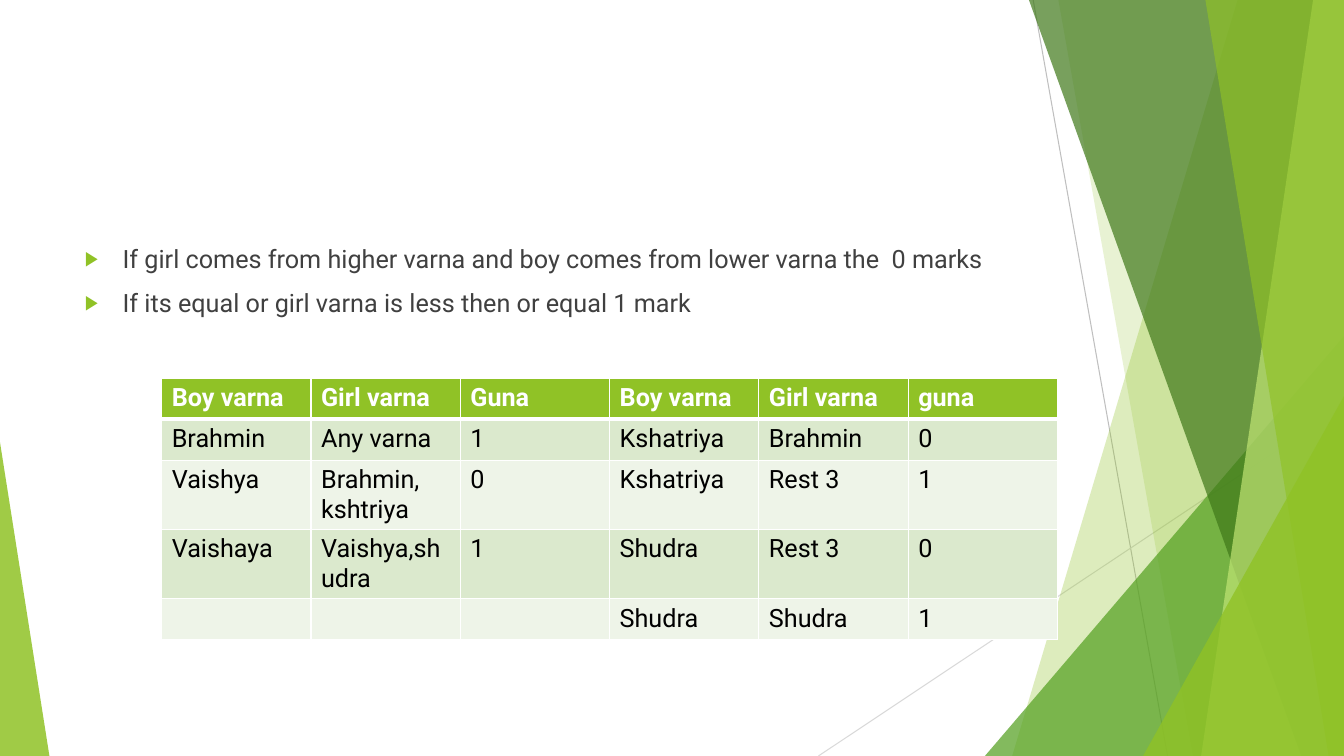
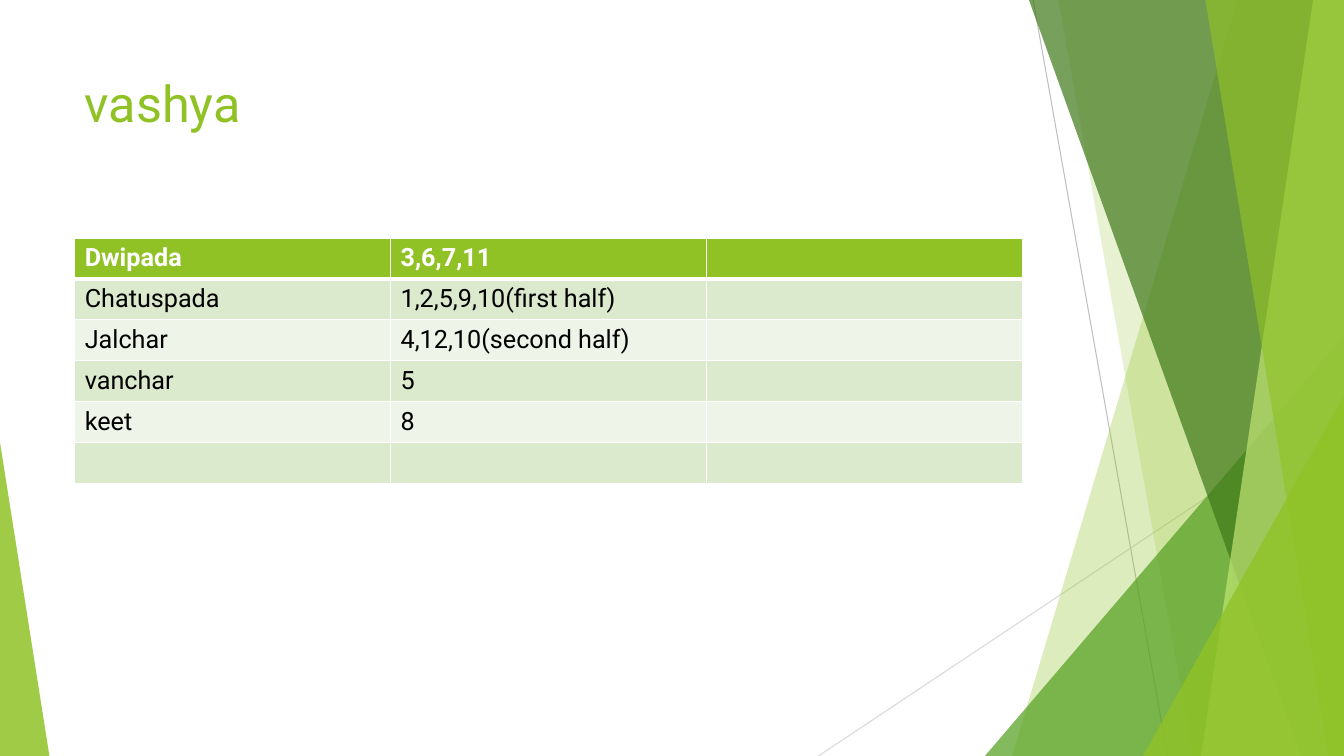
from lxml import etree
from pptx import Presentation
from pptx.dml.color import RGBColor
from pptx.enum.shapes import MSO_CONNECTOR, MSO_SHAPE
from pptx.enum.text import MSO_ANCHOR, PP_ALIGN
from pptx.oxml.ns import qn
from pptx.util import Pt

WIDTH, HEIGHT = 960, 540
MARGIN, CONTENT_WIDTH, CONTENT_TOP = 53.4, 676.8, 170.1
FONT = "Roboto"
BODY_SIZE, TITLE_SIZE = 18, 36

WHITE = RGBColor(0xFF, 0xFF, 0xFF)
BLACK = RGBColor(0x00, 0x00, 0x00)
BODY_GREY = RGBColor(0x40, 0x40, 0x40)
LINE_GREY = RGBColor(0xBF, 0xBF, 0xBF)
PALE_GREY = RGBColor(0xD9, 0xD9, 0xD9)
LIME = RGBColor(0x90, 0xC2, 0x26)
LIGHT_LIME = RGBColor(0xC0, 0xE4, 0x74)
GREEN = RGBColor(0x54, 0xA0, 0x21)
DARK_GREEN = RGBColor(0x3F, 0x78, 0x19)
BANDS = (RGBColor(0xEE, 0xF4, 0xE8), RGBColor(0xDB, 0xE9, 0xCD))

VARNA_RULES = [
    "If girl comes from higher varna and boy comes from lower varna the  0 marks",
    "If its equal or girl varna is less then or equal 1 mark",
]
VARNA_ROWS = [
    ("Boy varna", "Girl varna", "Guna", "Boy varna", "Girl varna", "guna"),
    ("Brahmin", "Any varna", "1", "Kshatriya", "Brahmin", "0"),
    ("Vaishya", "Brahmin, kshtriya", "0", "Kshatriya", "Rest 3", "1"),
    ("Vaishaya", "Vaishya,shudra", "1", "Shudra", "Rest 3", "0"),
    ("", "", "", "Shudra", "Shudra", "1"),
]
VASHYA_ROWS = [
    ("Dwipada", "3,6,7,11", ""),
    ("Chatuspada", "1,2,5,9,10(first half)", ""),
    ("Jalchar", "4,12,10(second half)", ""),
    ("vanchar", "5", ""),
    ("keet", "8", ""),
    ("", "", ""),
]


def add_child(parent, tag, **attributes):
    child = etree.SubElement(parent, qn(tag))
    for name, value in attributes.items():
        child.set(name, str(value))
    return child


def style_runs(paragraph, size, color, bold=False):
    for run in paragraph.runs:
        run.font.name = FONT
        run.font.size = Pt(size)
        run.font.bold = bold
        run.font.color.rgb = color


def place(shape, left, top, width, height):
    shape.left, shape.top = Pt(left), Pt(top)
    shape.width, shape.height = Pt(width), Pt(height)


def paint(facet, color, opacity):
    """Fill a facet with a see-through colour; opacity is in percent."""
    facet.shadow.inherit = False
    facet.line.fill.background()
    facet.fill.solid()
    facet.fill.fore_color.rgb = color
    srgb = facet.element.spPr.find(qn("a:solidFill")).find(qn("a:srgbClr"))
    add_child(srgb, "a:alpha", val=opacity * 1000)


def add_hairline(slide, start, end, color):
    ends = [Pt(length) for length in (*start, *end)]
    hairline = slide.shapes.add_connector(MSO_CONNECTOR.STRAIGHT, *ends)
    hairline.line.color.rgb = color
    hairline.line.width = Pt(0.75)
    add_child(hairline.element.spPr, "a:effectLst")


def add_panel(slide, top_x, bottom_x, color, opacity):
    """Full-height panel with a slanted left edge, ending at the slide's right."""
    builder = slide.shapes.build_freeform(Pt(top_x), 0)
    corners = [(WIDTH, 0), (WIDTH, HEIGHT), (bottom_x, HEIGHT)]
    builder.add_line_segments([(Pt(x), Pt(y)) for x, y in corners])
    paint(builder.convert_to_shape(), color, opacity)


def add_corner(slide, left, top, width, apex, color, opacity):
    """Triangle standing on the bottom edge; apex is 0 for left, 1 for right."""
    corner = slide.shapes.add_shape(MSO_SHAPE.ISOSCELES_TRIANGLE, Pt(left),
                                    Pt(top), Pt(width), Pt(HEIGHT - top))
    corner.adjustments[0] = apex
    paint(corner, color, opacity)


def add_facets(slide):
    add_hairline(slide, (738, 0), (834, HEIGHT), LINE_GREY)
    add_hairline(slide, (WIDTH, 290), (584.6, HEIGHT), PALE_GREY)
    add_panel(slide, 884, 723, LIME, 30)
    add_panel(slide, 756, 852, LIME, 20)
    add_corner(slide, 703.5, 240, 256.5, 1, GREEN, 72)
    add_panel(slide, 735, 929.5, DARK_GREEN, 70)
    add_panel(slide, 938, 858, LIGHT_LIME, 70)
    add_panel(slide, 861, 949, LIME, 65)
    add_corner(slide, 816.5, 283, 143.5, 1, LIME, 80)
    add_corner(slide, 0, 316, 35.3, 0, LIME, 85)


def set_title(slide, text):
    title = slide.shapes.title
    place(title, MARGIN, 48, CONTENT_WIDTH, 104)
    title.text_frame.text = text
    title.text_frame.vertical_anchor = MSO_ANCHOR.TOP
    heading = title.text_frame.paragraphs[0]
    heading.alignment = PP_ALIGN.LEFT
    style_runs(heading, TITLE_SIZE, LIME)


def set_bullets(body, lines):
    place(body, MARGIN, CONTENT_TOP, CONTENT_WIDTH, 305.6)
    body.text_frame.text = "\n".join(lines)
    for paragraph in body.text_frame.paragraphs:
        paragraph.space_before = Pt(10)
        style_runs(paragraph, BODY_SIZE, BODY_GREY)
        properties = paragraph._p.get_or_add_pPr()
        properties.set("marL", str(Pt(27)))
        properties.set("indent", str(-Pt(27)))
        bullet_color = add_child(properties, "a:buClr")
        add_child(bullet_color, "a:srgbClr", val=LIME)
        add_child(properties, "a:buSzPct", val=80000)
        add_child(properties, "a:buFont", typeface="Arial")
        add_child(properties, "a:buChar", char="▶")


def set_borders(cell, top, bottom):
    properties = cell._tc.get_or_add_tcPr()
    for side, width in (("L", 1), ("R", 1), ("T", top), ("B", bottom)):
        border = add_child(properties, f"a:ln{side}", w=Pt(width))
        fill = add_child(border, "a:solidFill")
        add_child(fill, "a:srgbClr", val=WHITE)


def add_grid(slide, rows, left, top, width, header_height=29.2):
    row_height = 29.2
    height = header_height + row_height * (len(rows) - 1)
    grid = slide.shapes.add_table(len(rows), len(rows[0]), Pt(left), Pt(top),
                                  Pt(width), Pt(height)).table
    for column in grid.columns:
        column.width = Pt(width / len(rows[0]))
    for r, texts in enumerate(rows):
        header = r == 0
        grid.rows[r].height = Pt(header_height if header else row_height)
        for c, text in enumerate(texts):
            cell = grid.cell(r, c)
            set_borders(cell, 3 if r == 1 else 1, 3 if header else 1)
            cell.fill.solid()
            cell.fill.fore_color.rgb = LIME if header else BANDS[r % 2]
            cell.text_frame.text = text
            style_runs(cell.text_frame.paragraphs[0], BODY_SIZE,
                       WHITE if header else BLACK, header)


def add_varna_slide(deck):
    slide = deck.slides.add_slide(deck.slide_layouts.get_by_name("Title and Content"))
    empty_title = slide.shapes.title.element
    empty_title.getparent().remove(empty_title)
    add_facets(slide)
    set_bullets(slide.placeholders[1], VARNA_RULES)
    add_grid(slide, VARNA_ROWS, 115.5, 270.3, 640)


def add_vashya_slide(deck):
    slide = deck.slides.add_slide(deck.slide_layouts.get_by_name("Title Only"))
    add_facets(slide)
    set_title(slide, "vashya")
    add_grid(slide, VASHYA_ROWS, MARGIN, CONTENT_TOP, CONTENT_WIDTH, 26.7)


def main():
    deck = Presentation()
    deck.slide_width, deck.slide_height = Pt(WIDTH), Pt(HEIGHT)
    add_varna_slide(deck)
    add_vashya_slide(deck)
    deck.save("out.pptx")


if __name__ == "__main__":
    main()
